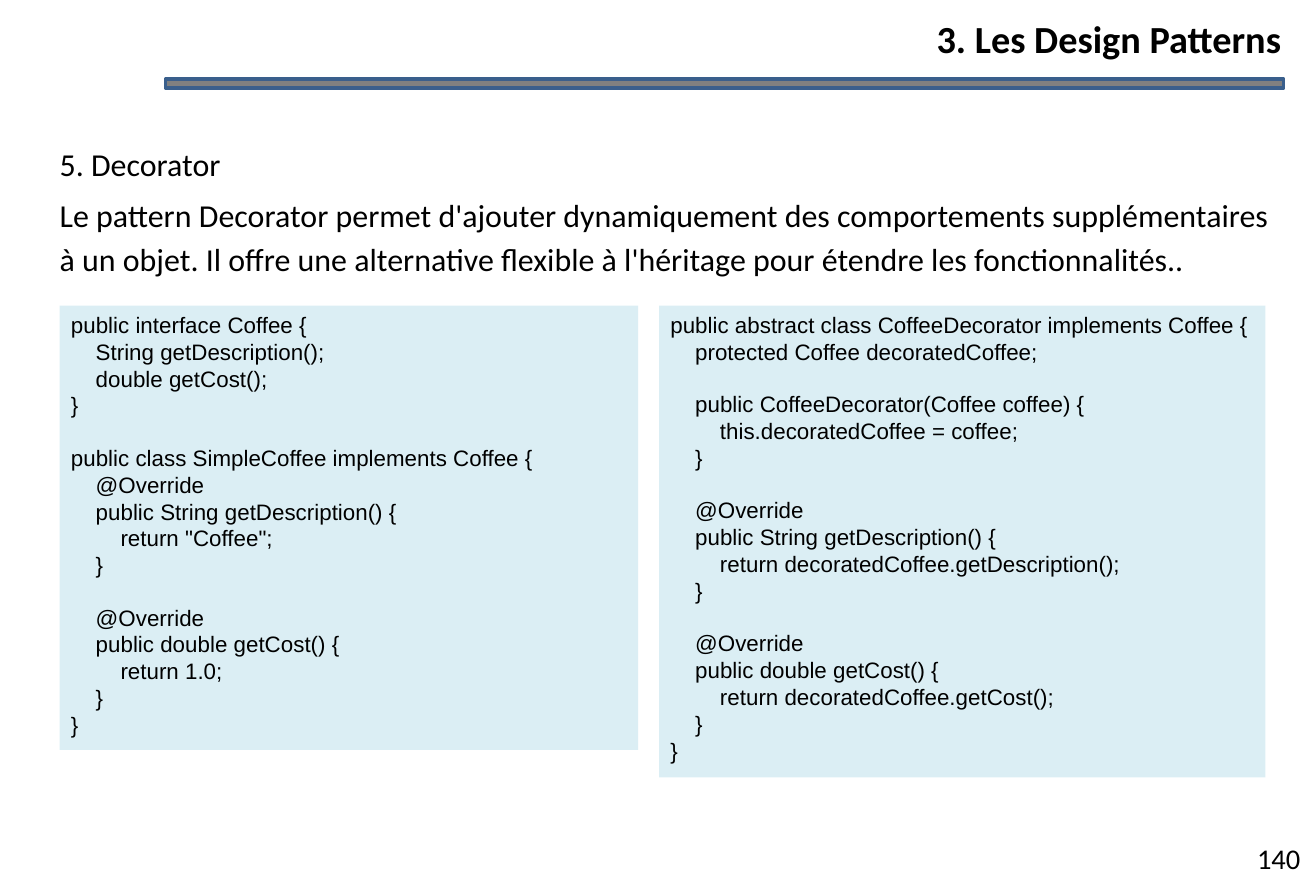
"""Builds the Decorator slide of a design patterns course."""
from pptx import Presentation
from pptx.dml.color import RGBColor
from pptx.enum.shapes import MSO_SHAPE
from pptx.enum.text import MSO_ANCHOR, MSO_AUTO_SIZE, PP_ALIGN
from pptx.util import Cm, Pt

RECTANGLE = MSO_SHAPE.RECTANGLE
TOP = MSO_ANCHOR.TOP
NO_FIT = MSO_AUTO_SIZE.NONE
LEFT, CENTER, RIGHT = PP_ALIGN.LEFT, PP_ALIGN.CENTER, PP_ALIGN.RIGHT

THEME = {
    "ink": RGBColor.from_string("000000"),
    "rule": RGBColor.from_string("808080"),
    "rule_edge": RGBColor.from_string("3A5F8C"),
    "code_panel": RGBColor.from_string("DBEEF4"),
    "prose_font": "Calibri",
    "code_font": "Arial",
    "title_size": Pt(24),
    "prose_size": Pt(20),
    "number_size": Pt(17.9),
    "code_size": Pt(14),
    "code_gap": Pt(16.1),
    "prose_gap": Pt(4),
}

EXPLANATION = [
    "5. Decorator",
    "Le pattern Decorator permet d'ajouter dynamiquement des comportements "
    "supplémentaires à un objet. Il offre une alternative flexible à l'héritage "
    "pour étendre les fonctionnalités..",
]

COMPONENT_CODE = """public interface Coffee {
    String getDescription();
    double getCost();
}

public class SimpleCoffee implements Coffee {
    @Override
    public String getDescription() {
        return "Coffee";
    }

    @Override
    public double getCost() {
        return 1.0;
    }
}"""

DECORATOR_CODE = """public abstract class CoffeeDecorator implements Coffee {
    protected Coffee decoratedCoffee;

    public CoffeeDecorator(Coffee coffee) {
        this.decoratedCoffee = coffee;
    }

    @Override
    public String getDescription() {
        return decoratedCoffee.getDescription();
    }

    @Override
    public double getCost() {
        return decoratedCoffee.getCost();
    }
}"""


def add_text(paragraph, text, size, font, align=LEFT, bold=False):
    """Adds one styled run to a paragraph."""
    paragraph.alignment = align
    run = paragraph.add_run()
    run.text = text
    run.font.size = size
    run.font.name = font
    run.font.bold = bold
    run.font.color.rgb = THEME["ink"]


def next_paragraph(frame):
    """Returns the empty first paragraph, or else a new one."""
    first = frame.paragraphs[0]
    return frame.add_paragraph() if first.runs else first


deck = Presentation()
deck.slide_width, deck.slide_height = Cm(29.11), Cm(19.51)
slide = deck.slides.add_slide(deck.slide_layouts[5])

header_rule = slide.shapes.add_shape(RECTANGLE, Cm(3.66), Cm(1.75), Cm(24.74), Cm(0.2))
header_rule.shadow.inherit = False
header_rule.fill.solid()
header_rule.fill.fore_color.rgb = THEME["rule"]
header_rule.line.color.rgb = THEME["rule_edge"]
header_rule.line.width = Pt(2)

chapter = slide.shapes.title
chapter.left, chapter.top, chapter.width, chapter.height = Cm(4.95), Cm(0.33), Cm(23.39), Cm(1.02)
heading = chapter.text_frame
heading.margin_left = heading.margin_right = heading.margin_top = heading.margin_bottom = 0
heading.vertical_anchor = TOP
heading.auto_size = NO_FIT
add_text(heading.paragraphs[0], "3. Les Design Patterns",
         THEME["title_size"], THEME["prose_font"], RIGHT, True)

page_number = slide.shapes.add_textbox(Cm(27.46), Cm(18.47), Cm(1.65), Cm(1.04)).text_frame
page_number.word_wrap = True
add_text(page_number.paragraphs[0], "140", THEME["number_size"], THEME["prose_font"], CENTER)

explanation = slide.shapes.add_textbox(Cm(0.56), Cm(2.95), Cm(27.99), Cm(3.3)).text_frame
explanation.word_wrap = True
explanation.margin_left = Cm(0.76)
for index, sentence in enumerate(EXPLANATION):
    paragraph = next_paragraph(explanation)
    paragraph.line_spacing = 1.15
    if index:
        paragraph.space_before = THEME["prose_gap"]
    add_text(paragraph, sentence, THEME["prose_size"], THEME["prose_font"])

for left, width, height, code in [
    (Cm(1.32), Cm(12.8), Cm(9.83), COMPONENT_CODE),
    (Cm(14.58), Cm(13.41), Cm(10.44), DECORATOR_CODE),
]:
    panel = slide.shapes.add_shape(RECTANGLE, left, Cm(6.76), width, height)
    panel.shadow.inherit = False
    panel.fill.solid()
    panel.fill.fore_color.rgb = THEME["code_panel"]
    panel.line.fill.background()
    listing = panel.text_frame
    listing.word_wrap = True
    listing.vertical_anchor = TOP
    for block_index, block in enumerate(code.split("\n\n")):
        for line_index, code_line in enumerate(block.split("\n")):
            paragraph = next_paragraph(listing)
            if block_index and line_index == 0:
                paragraph.space_before = THEME["code_gap"]
            add_text(paragraph, code_line, THEME["code_size"], THEME["code_font"])

deck.save("out.pptx")
